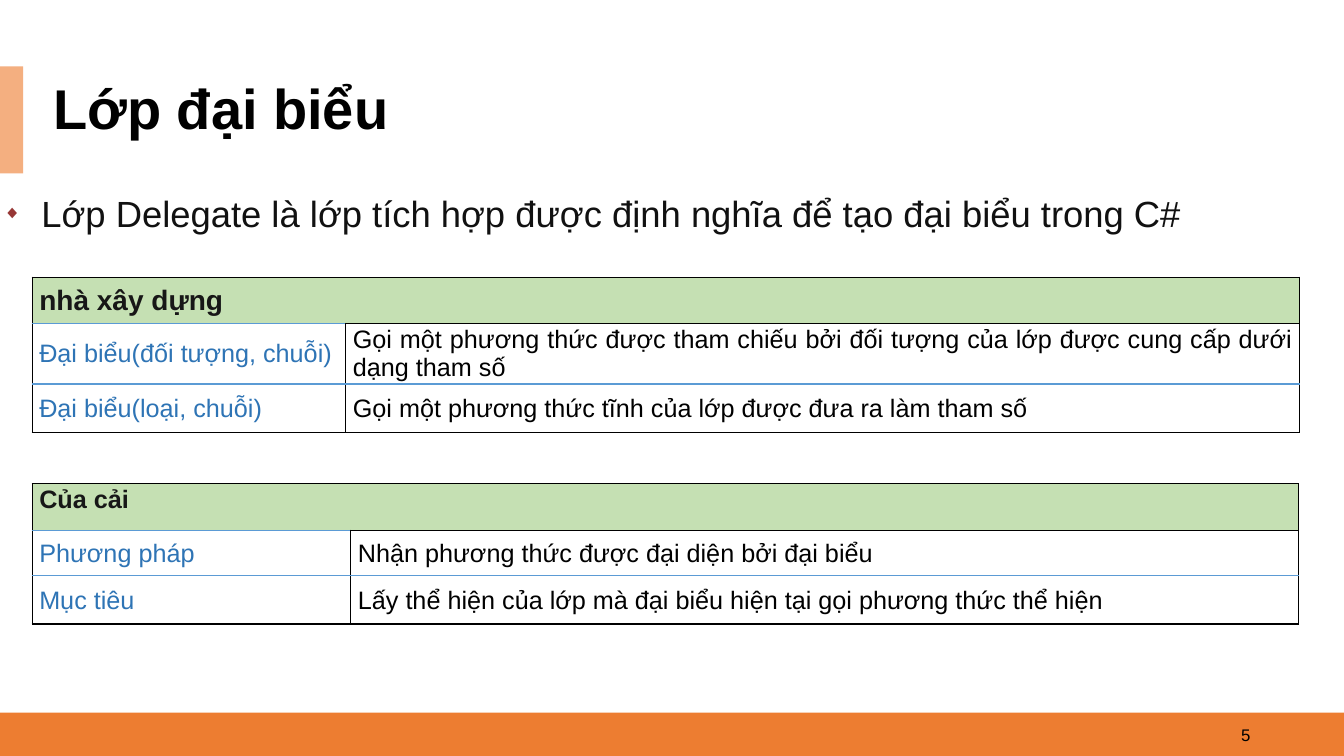
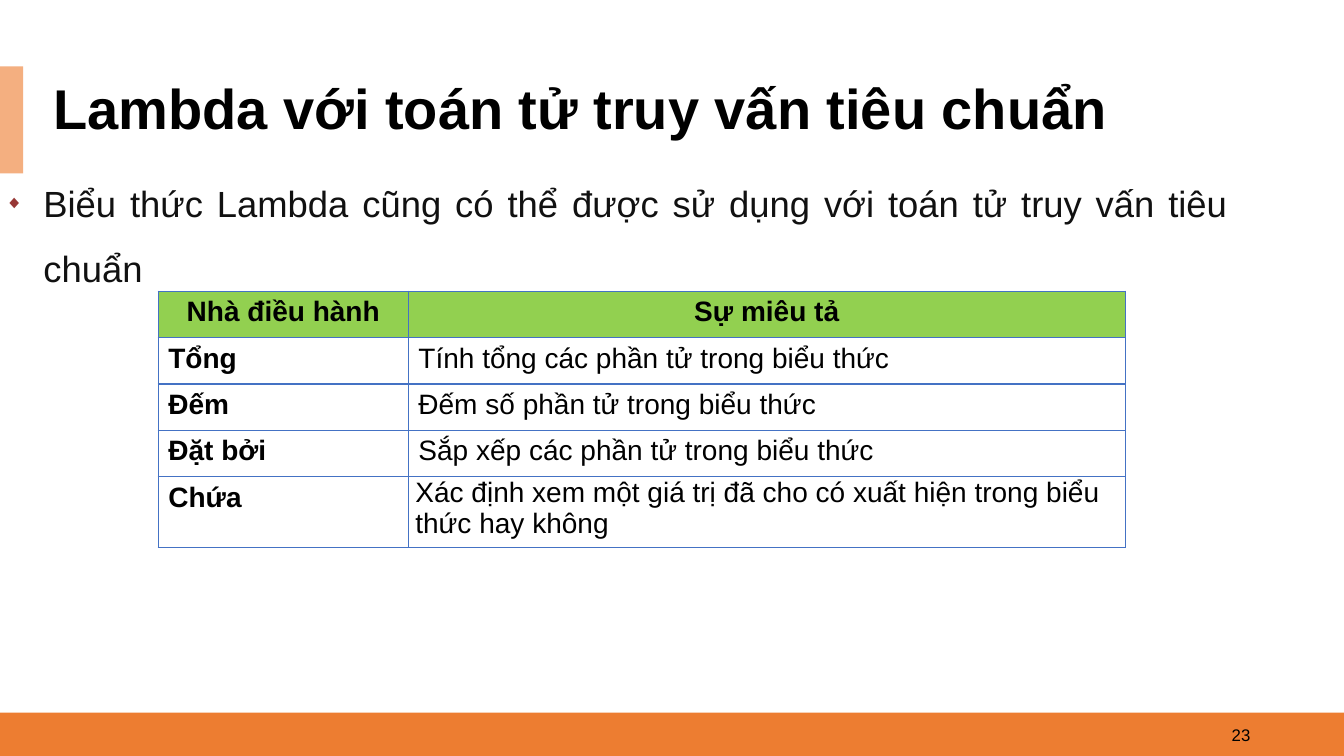
from dataclasses import dataclass, field, replace

from lxml.etree import SubElement
from pptx import Presentation
from pptx.dml.color import RGBColor
from pptx.enum.shapes import MSO_SHAPE as Shape
from pptx.enum.text import MSO_ANCHOR as Anchor, MSO_AUTO_SIZE as AutoSize, PP_ALIGN as Align
from pptx.oxml.ns import qn
from pptx.util import Inches, Pt

PAGE_WIDTH, PAGE_HEIGHT = 13.33, 7.5


@dataclass(frozen=True)
class Theme:
    font: str = "Arial"
    footer: str = "ED7D31"
    accent: str = "F4AF80"
    black: str = "000000"
    heading: str = "171717"
    body: str = "111111"
    bullet: str = "973735"
    label: str = "2E74B5"
    white: str = "FFFFFF"
    pale_green: str = "C5E0B3"
    green: str = "92D050"
    rule: str = "5B9BD5"
    grid: str = "4472C4"
    title_size: int = 40
    body_size: int = 26
    large_size: int = 20
    table_size: int = 18
    number_size: int = 12


THEME = Theme()


@dataclass(frozen=True)
class Style:
    size: int
    color: str = THEME.black
    bold: bool = False
    align: Align = Align.LEFT
    anchor: Anchor = Anchor.TOP
    insets: tuple[float, float] = (0.1, 0.05)
    line_spacing: float = 1.0
    space_before: int = 0
    space_after: int = 0
    fill: str | None = None


@dataclass(frozen=True)
class Grid:
    left: float
    top: float
    columns: tuple[float, ...]
    rows: tuple[float, ...]
    texts: tuple[tuple[str, ...], ...]
    header: Style
    label: Style
    detail: Style
    outer: str
    inner: str
    special: dict[tuple[int, int], Style] = field(default_factory=dict)

    @property
    def merged_header(self) -> bool:
        return len(self.texts[0]) == 1

    def style(self, row: int, column: int) -> Style:
        usual = self.header if row == 0 else (self.label, self.detail)[column]
        return self.special.get((row, column), usual)

    def borders(self, row: int, column: int) -> dict[str, str]:
        below_header = self.merged_header and (row, column) == (1, 1)
        top = self.outer if row == 0 or below_header else self.inner
        bottom = self.outer if row == len(self.rows) - 1 else self.inner
        return {"lnL": self.outer, "lnR": self.outer, "lnT": top, "lnB": bottom}


@dataclass(frozen=True)
class Statement:
    text: str
    top: float
    inset: float
    width: float
    style: Style


@dataclass(frozen=True)
class Page:
    number: int
    title: str
    statement: Statement
    grids: tuple[Grid, ...]


# Text styles
TITLE = Style(THEME.title_size, bold=True, anchor=Anchor.MIDDLE, line_spacing=0.9)
NUMBER = Style(THEME.number_size, align=Align.RIGHT, anchor=Anchor.MIDDLE)
STATEMENT = Style(THEME.body_size, THEME.body, align=Align.JUSTIFY, line_spacing=1.5)

MEMBER = Style(THEME.table_size, anchor=Anchor.MIDDLE, insets=(0.07, 0), align=Align.JUSTIFY)
MEMBER_LABEL = replace(MEMBER, color=THEME.label, fill=THEME.white)
MEMBER_HEADER = replace(MEMBER, size=THEME.large_size, color=THEME.heading, bold=True,
                        align=Align.LEFT, fill=THEME.pale_green)
SPACED = {"align": Align.LEFT, "line_spacing": 1.07, "space_after": 8}

OPERATOR = Style(THEME.large_size)
OPERATOR_LABEL = replace(OPERATOR, bold=True)
OPERATOR_HEADER = replace(OPERATOR_LABEL, align=Align.CENTER, fill=THEME.green)

# Content
MEMBER_ROWS = (0.46, 0.45, 0.48)

CONSTRUCTORS = Grid(
    0.32, 2.75, (3.11, 9.46), MEMBER_ROWS,
    (("nhà xây dựng",),
     ("Đại biểu(đối tượng, chuỗi)",
      "Gọi một phương thức được tham chiếu bởi đối tượng của lớp được cung cấp dưới dạng tham số"),
     ("Đại biểu(loại, chuỗi)", "Gọi một phương thức tĩnh của lớp được đưa ra làm tham số")),
    MEMBER_HEADER, MEMBER_LABEL, MEMBER, THEME.black, THEME.rule)

PROPERTIES = Grid(
    0.32, 4.8, (3.16, 9.4), MEMBER_ROWS,
    (("Của cải",),
     ("Phương pháp", "Nhận phương thức được đại diện bởi đại biểu"),
     ("Mục tiêu", "Lấy thể hiện của lớp mà đại biểu hiện tại gọi phương thức thể hiện")),
    replace(MEMBER_HEADER, size=THEME.table_size, anchor=Anchor.TOP, line_spacing=1.07),
    replace(MEMBER_LABEL, **SPACED), replace(MEMBER, **SPACED), THEME.black, THEME.rule)

OPERATORS = Grid(
    1.57, 2.89, (2.48, 7.11), (0.46,) * 4 + (0.7,),
    (("Nhà điều hành", "Sự miêu tả"),
     ("Tổng", "Tính tổng các phần tử trong biểu thức"),
     ("Đếm", "Đếm số phần tử trong biểu thức"),
     ("Đặt bởi", "Sắp xếp các phần tử trong biểu thức"),
     ("Chứa", "Xác định xem một giá trị đã cho có xuất hiện trong biểu thức hay không")),
    OPERATOR_HEADER, OPERATOR_LABEL, OPERATOR, THEME.grid, THEME.grid,
    {(4, 1): replace(OPERATOR, insets=(0.07, 0))})

PAGES = (
    Page(5, "Lớp đại biểu",
         Statement("Lớp Delegate là lớp tích hợp được định nghĩa để tạo đại biểu trong C#",
                   1.63, 0.03, 12.65, replace(STATEMENT, space_before=6, space_after=6)),
         (PROPERTIES, CONSTRUCTORS)),
    Page(23, "Lambda với toán tử truy vấn tiêu chuẩn",
         Statement("Biểu thức Lambda cũng có thể được sử dụng với toán tử truy vấn tiêu chuẩn",
                   1.53, 0.05, 12.29, replace(STATEMENT, space_before=10)),
         (OPERATORS,)),
)


def style_paragraph(para, text: str, style: Style) -> None:
    para.text = text
    para.alignment = style.align
    para.line_spacing = style.line_spacing
    para.space_before = Pt(style.space_before)
    para.space_after = Pt(style.space_after)
    font = para.font
    font.name, font.size, font.bold = THEME.font, Pt(style.size), style.bold
    font.color.rgb = RGBColor.from_string(style.color)


def add_bullet(para) -> None:
    props = para._p.get_or_add_pPr()
    props.set("marL", str(Inches(0.38)))
    props.set("indent", str(-Inches(0.38)))
    color = SubElement(props, qn("a:buClr"))
    SubElement(color, qn("a:srgbClr"), val=THEME.bullet)
    SubElement(props, qn("a:buSzPct"), val="50000")
    SubElement(props, qn("a:buFont"), typeface=THEME.font)
    SubElement(props, qn("a:buChar"), char="◆")


def add_text(slide, text: str, left: float, top: float, width: float, height: float, style: Style):
    box = slide.shapes.add_textbox(Inches(left), Inches(top), Inches(width), Inches(height))
    frame = box.text_frame
    frame.word_wrap = True
    frame.vertical_anchor = style.anchor
    style_paragraph(frame.paragraphs[0], text, style)
    return frame


def add_statement(slide, statement: Statement) -> None:
    box = slide.shapes.add_textbox(0, Inches(statement.top), Inches(statement.width), Inches(0.69))
    frame = box.text_frame
    frame.word_wrap = True
    frame.auto_size = AutoSize.SHAPE_TO_FIT_TEXT
    frame.margin_left = Inches(statement.inset)
    para = frame.paragraphs[0]
    add_bullet(para)
    style_paragraph(para, statement.text, statement.style)


def add_band(slide, top: float, width: float, height: float, color: str) -> None:
    band = slide.shapes.add_shape(Shape.RECTANGLE, 0, Inches(top), Inches(width), Inches(height))
    band.shadow.inherit = False
    band.fill.solid()
    band.fill.fore_color.rgb = RGBColor.from_string(color)
    band.line.fill.background()


def style_cell(cell, style: Style, borders: dict[str, str]) -> None:
    props = cell._tc.get_or_add_tcPr()
    for side, color in borders.items():
        line = SubElement(props, qn(f"a:{side}"), w=str(Pt(1)))
        SubElement(SubElement(line, qn("a:solidFill")), qn("a:srgbClr"), val=color)
    if style.fill:
        cell.fill.solid()
        cell.fill.fore_color.rgb = RGBColor.from_string(style.fill)
    else:
        cell.fill.background()
    cell.vertical_anchor = style.anchor
    across, down = map(Inches, style.insets)
    cell.margin_left = cell.margin_right = across
    cell.margin_top = cell.margin_bottom = down


def add_grid(slide, grid: Grid) -> None:
    frame = slide.shapes.add_table(
        len(grid.rows), len(grid.columns), Inches(grid.left), Inches(grid.top),
        Inches(sum(grid.columns)), Inches(sum(grid.rows)))
    table = frame.table
    table.first_row = table.horz_banding = False
    for column, width in zip(table.columns, grid.columns):
        column.width = Inches(width)
    for row, height in zip(table.rows, grid.rows):
        row.height = Inches(height)
    if grid.merged_header:
        table.cell(0, 0).merge(table.cell(0, len(grid.columns) - 1))
    for row in range(len(grid.rows)):
        for column in range(len(grid.columns)):
            cell, style = table.cell(row, column), grid.style(row, column)
            style_cell(cell, style, grid.borders(row, column))
            if not cell.is_spanned:
                style_paragraph(cell.text_frame.paragraphs[0], grid.texts[row][column], style)


def add_page(deck, page: Page) -> None:
    slide = deck.slides.add_slide(deck.slide_layouts[6])
    # Shared frame: footer band, title accent, page number, title
    add_band(slide, 7.07, PAGE_WIDTH, PAGE_HEIGHT - 7.07, THEME.footer)
    add_band(slide, 0.66, 0.23, 1.06, THEME.accent)
    add_text(slide, str(page.number), 9.5, 7.09, 3, 0.4, NUMBER)
    add_text(slide, page.title, 0.43, 0.79, 12.45, 0.63, TITLE)
    # Page content
    for grid in page.grids:
        add_grid(slide, grid)
    add_statement(slide, page.statement)


def main() -> None:
    deck = Presentation()
    deck.slide_width, deck.slide_height = Inches(PAGE_WIDTH), Inches(PAGE_HEIGHT)
    for page in PAGES:
        add_page(deck, page)
    deck.save("out.pptx")


if __name__ == "__main__":
    main()
